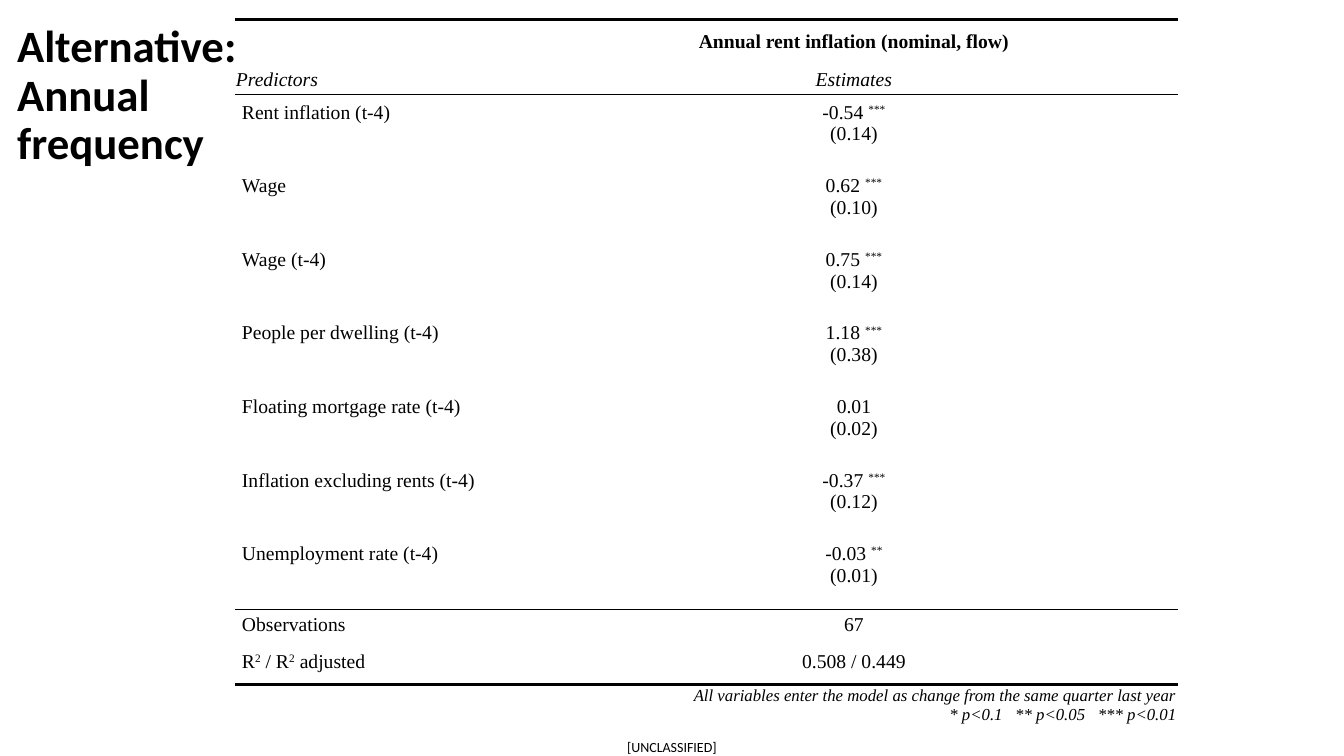
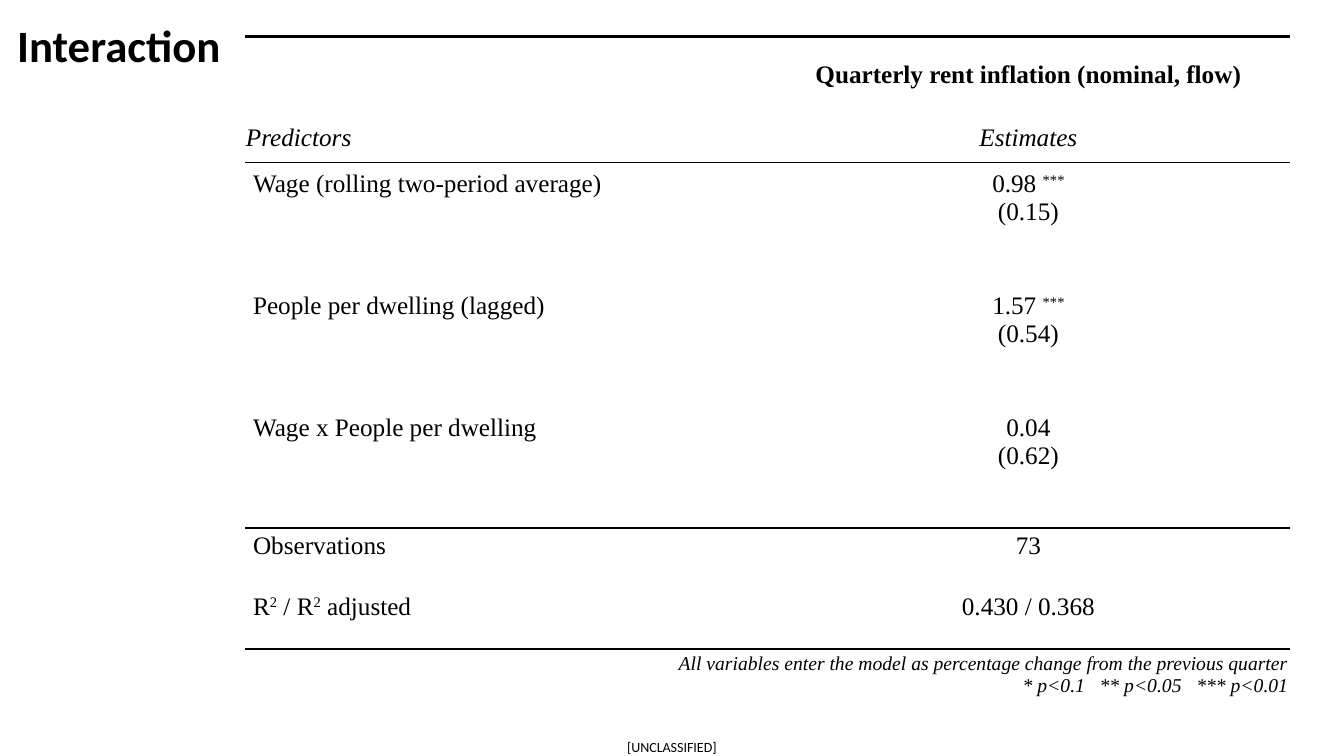
from lxml import etree
from pptx import Presentation
from pptx.dml.color import RGBColor
from pptx.enum.text import MSO_ANCHOR, MSO_AUTO_SIZE, PP_ALIGN
from pptx.oxml.ns import qn
from pptx.util import Pt

LEFT, MID, RIGHT = PP_ALIGN.LEFT, PP_ALIGN.CENTER, PP_ALIGN.RIGHT
TOP, CENTRE = MSO_ANCHOR.TOP, MSO_ANCHOR.MIDDLE
FIXED = MSO_AUTO_SIZE.NONE

SCALE = 9144
WIDE, HIGH = 1333, 750
BLACK = "000000"
SANS, SERIF = "Calibri", "Times New Roman"
THICK, THIN = 2.25, 1
TITLE_BOX = (7, 19, 249, 284)
MARK = "[UNCLASSIFIED]"
MARK_BOX = (622, 733, 93, 17)
FIT = "R^2^ / R^2^ adjusted"
STARS = "* p<0.1   ** p<0.05   *** p<0.01"

SLIDES = [
    {
        "title": "Alternative: Annual frequency",
        "at": (233, 19),
        "cols": (293, 642),
        "high": {"head": 45, "label": 30, "term": 73, "stat": 37, "note": 24},
        "pad": 7,
        "size": 14,
        "small": 12,
        "head": "Annual rent inflation (nominal, flow)",
        "terms": [
            ("Rent inflation (t-4)", "-0.54 ^***^\n(0.14)"),
            ("Wage", "0.62 ^***^\n(0.10)"),
            ("Wage (t-4)", "0.75 ^***^\n(0.14)"),
            ("People per dwelling (t-4)", "1.18 ^***^\n(0.38)"),
            ("Floating mortgage rate (t-4)", "0.01\n(0.02)"),
            ("Inflation excluding rents (t-4)", "-0.37 ^***^\n(0.12)"),
            ("Unemployment rate (t-4)", "-0.03 ^**^\n(0.01)"),
        ],
        "stats": [("Observations", "67"), (FIT, "0.508 / 0.449")],
        "note": "All variables enter the model as change from the same quarter last year",
    },
    {
        "title": "Interaction",
        "at": (243, 36),
        "cols": (518, 518),
        "high": {"head": 77, "label": 48, "term": 121, "stat": 60, "note": 51},
        "pad": 8,
        "size": 18,
        "small": 14,
        "head": "Quarterly rent inflation (nominal, flow)",
        "terms": [
            ("Wage (rolling two-period average)", "0.98 ^***^\n(0.15)"),
            ("People per dwelling (lagged)", "1.57 ^***^\n(0.54)"),
            ("Wage x People per dwelling", "0.04\n(0.62)"),
        ],
        "stats": [("Observations", "73"), (FIT, "0.430 / 0.368")],
        "note": "All variables enter the model as percentage change from the previous quarter",
    },
]


def px(*sizes):
    return [size * SCALE for size in sizes]


def paint(font, shade):
    font.color.rgb = RGBColor.from_string(shade)


def write(frame, text, size, face=SERIF, bold=False, slant=False,
          align=LEFT, space=None):
    for row, line in enumerate(text.split("\n")):
        para = frame.add_paragraph() if row else frame.paragraphs[0]
        para.alignment = align
        if space:
            para.line_spacing = space
        for turn, part in enumerate(line.split("^")):
            if not part:
                continue
            run = para.add_run()
            run.text = part
            font = run.font
            font.name, font.size = face, Pt(size)
            font.bold, font.italic = bold, slant
            paint(font, BLACK)
            if turn % 2:
                run._r.get_or_add_rPr().set("baseline", "30000")


def edge(cell, above, below):
    props = cell._tc.get_or_add_tcPr()
    sides = {"a:lnL": 0, "a:lnR": 0, "a:lnT": above, "a:lnB": below}
    for spot, (tag, width) in enumerate(sides.items()):
        line = etree.Element(qn(tag), w=str(Pt(width)))
        if width:
            fill = etree.SubElement(line, qn("a:solidFill"))
            etree.SubElement(fill, qn("a:srgbClr"), val=BLACK)
        else:
            etree.SubElement(line, qn("a:noFill"))
        props.insert(spot, line)


def inset(cell, side, ends):
    cell.margin_left = cell.margin_right = side * SCALE
    cell.margin_top = cell.margin_bottom = ends * SCALE


def draw(slide, data):
    pad, size, high = data["pad"], data["size"], data["high"]
    rows = [("head", "", data["head"]), ("label", "Predictors", "Estimates")]
    rows += [("term", *pair) for pair in data["terms"]]
    rows += [("stat", *pair) for pair in data["stats"]]
    rows.append(("note", data["note"] + "\n" + STARS, ""))
    last = len(rows) - 1
    rules = {0: THICK, 2: THIN, last - 2: THIN, last: THICK}
    pads = {"head": (pad, pad), "label": (1, 1), "term": (pad, pad),
            "stat": (pad, 4), "note": (1, 1)}
    tall = sum(high[kind] for kind, *_ in rows)
    box = px(*data["at"], sum(data["cols"]), tall)
    table = slide.shapes.add_table(len(rows), 2, *box).table
    table.first_row = table.horz_banding = False
    for col, width in zip(table.columns, px(*data["cols"])):
        col.width = width
    table.cell(last, 0).merge(table.cell(last, 1))
    for row, (kind, *texts) in enumerate(rows):
        table.rows[row].height = high[kind] * SCALE
        note = kind == "note"
        for col, text in enumerate(texts):
            cell = table.cell(row, col)
            cell.fill.background()
            edge(cell, rules.get(row, 0), rules.get(row + 1, 0))
            inset(cell, *pads[kind])
            cell.vertical_anchor = TOP if kind in ("term", "stat") else CENTRE
            if text:
                write(cell.text_frame, text, data["small"] if note else size,
                      bold=kind == "head", slant=kind in ("label", "note"),
                      align=RIGHT if note else (LEFT, MID)[col])


def head(slide, text):
    title = slide.shapes.title
    title.left, title.top, title.width, title.height = px(*TITLE_BOX)
    frame = title.text_frame
    frame.auto_size, frame.vertical_anchor = FIXED, TOP
    write(frame, text, 32, face=SANS, bold=True, space=0.9)


def foot(slide):
    frame = slide.shapes.add_textbox(*px(*MARK_BOX)).text_frame
    frame.margin_left = frame.margin_right = 0
    frame.margin_top = frame.margin_bottom = 0
    frame.word_wrap = False
    write(frame, MARK, 10, face=SANS)


def main():
    deck = Presentation()
    deck.slide_width, deck.slide_height = px(WIDE, HIGH)
    for data in SLIDES:
        slide = deck.slides.add_slide(deck.slide_layouts[5])
        foot(slide)
        head(slide, data["title"])
        draw(slide, data)
    deck.save("out.pptx")


if __name__ == "__main__":
    main()
